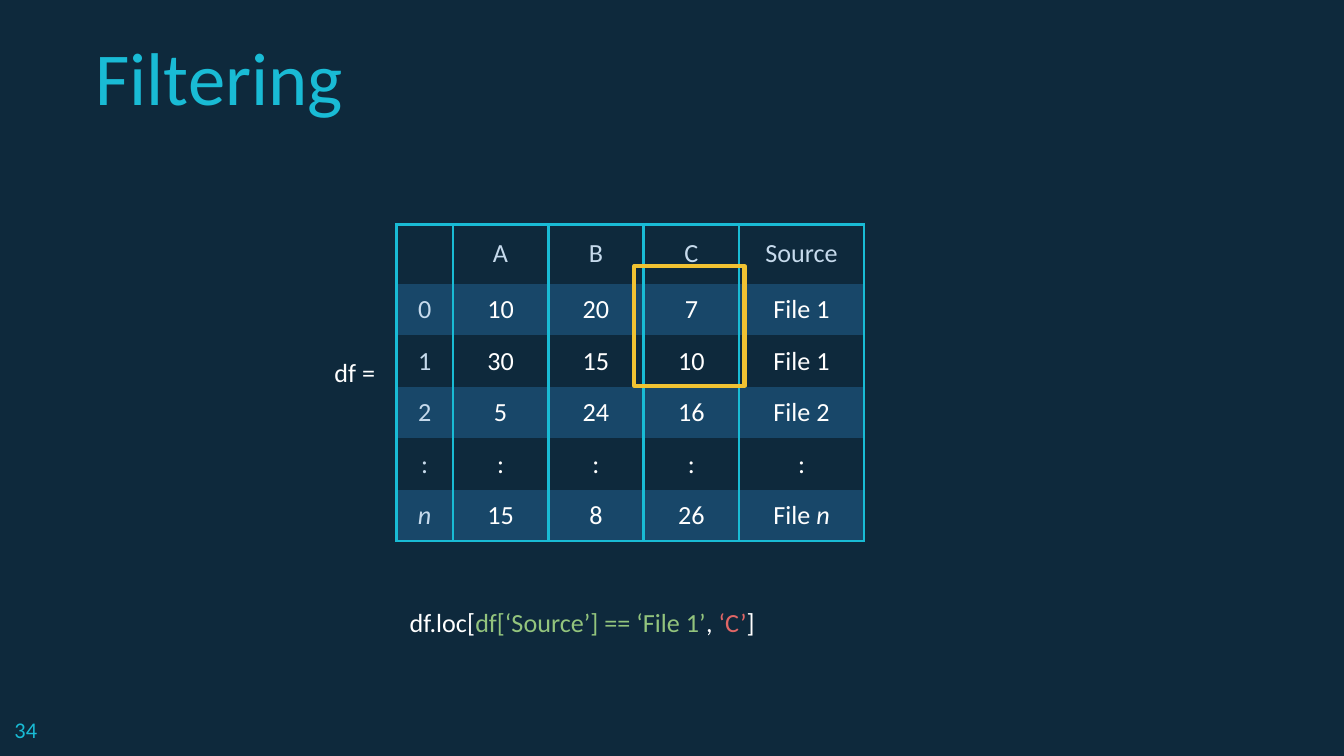
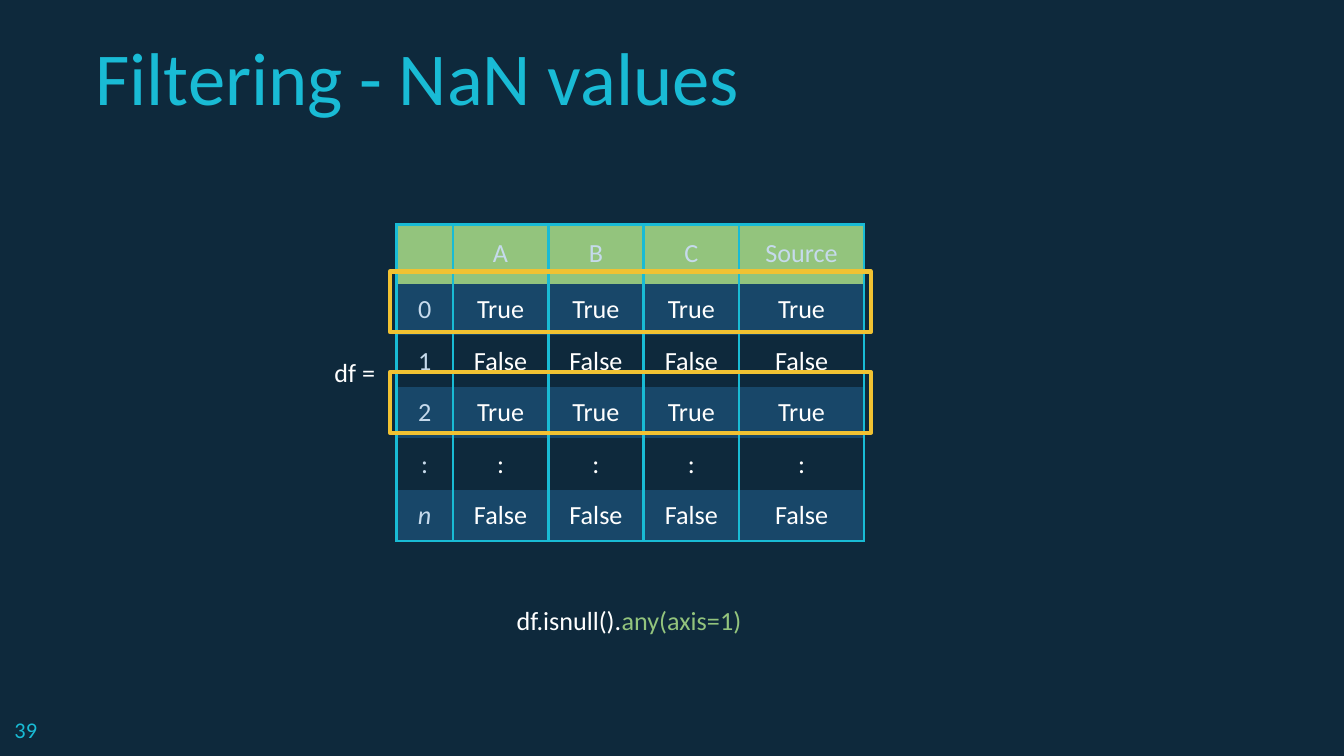
"""Two slides on filtering a data frame, each with a table and its code."""
from dataclasses import dataclass

from lxml.etree import SubElement
from pptx import Presentation
from pptx.dml.color import RGBColor
from pptx.enum.shapes import MSO_SHAPE as SHAPE
from pptx.enum.text import MSO_ANCHOR as ANCHOR, MSO_AUTO_SIZE as AUTO_SIZE, PP_ALIGN as ALIGN
from pptx.oxml.ns import qn
from pptx.util import Inches, Pt


@dataclass(frozen=True)
class Theme:
    font: str = "Calibri"
    night: str = "0E293C"
    band: str = "184769"
    cyan: str = "19BBD5"
    label: str = "C6DAEC"
    white: str = "FFFFFF"
    green: str = "93C47D"
    red: str = "E06666"
    yellow: str = "F1C232"
    title_size: int = 40
    body_size: int = 14
    number_size: int = 12
    border: float = 1.5
    frame: float = 2.25


THEME = Theme()
SLIDE_SIZE = (10, 10 * 9 / 16)
TITLE_BOX = (0.61, 0.29, 8.71, 0.71)
NUMBER_BOX = (0.01, 5.23, 0.6, 0.39)
DF_BOX = (2.39, 2.55, 1.64, 0.89)
TABLE_AT = (2.95, 1.67)
COLUMN_WIDTHS = (0.42, 0.71, 0.71, 0.71, 0.93)
ROW_HEIGHT = 0.3
CELL_PADDING = 0.15
EMPTY_CELL_PADDING = 0.14
NO_GRID_STYLE = "{2D5ABB26-0587-4C30-8999-92F81FD0307C}"

HEADER = ("", "A", "B", "C", "Source")
INDEX = ("0", "1", "2", ":", "n")
BAND_FILLS = (THEME.band, None, THEME.band, THEME.night, THEME.band)
TRUE_ROW, FALSE_ROW, DOTS_ROW = (("True",) * 4, ("False",) * 4, (":",) * 4)

SLIDES = (
    {
        "number": "34",
        "title": "Filtering",
        "header_fill": None,
        "rows": (
            ("10", "20", "7", "File 1"),
            ("30", "15", "10", "File 1"),
            ("5", "24", "16", "File 2"),
            DOTS_ROW,
            ("15", "8", "26", "File n"),
        ),
        "frames": ((4.72, 1.98, 0.82, 0.89),),
        "code": (
            ("df.loc[", THEME.white),
            ("df[‘Source’] == ‘File 1’", THEME.green),
            (", ", THEME.white),
            ("‘C’", THEME.red),
            ("]", THEME.white),
        ),
        "code_box": (2.95, 4.41, 5.46, 0.53),
        "code_align": ALIGN.LEFT,
    },
    {
        "number": "39",
        "title": "Filtering - NaN values",
        "header_fill": THEME.green,
        "rows": (TRUE_ROW, FALSE_ROW, TRUE_ROW, DOTS_ROW, FALSE_ROW),
        "frames": tuple((2.9, top, 3.58, 0.45) for top in (2.77, 2.02)),
        "code": (("df.isnull().", THEME.white), ("any(axis=1)", THEME.green)),
        "code_box": (1.95, 4.4, 5.46, 0.53),
        "code_align": ALIGN.CENTER,
    },
)


def inches(values):
    return [Inches(value) for value in values]


def set_all(target, formats):
    for name, value in formats.items():
        setattr(target, name, value)


def set_margins(target, across, down):
    set_all(target, {"margin_left": Inches(across), "margin_right": Inches(across),
                     "margin_top": Inches(down), "margin_bottom": Inches(down)})


def write(paragraph, runs, size=THEME.body_size, align=ALIGN.LEFT):
    paragraph.alignment = align
    for text, color, *italic in runs:
        run = paragraph.add_run()
        run.text = text
        set_all(run.font, {"name": THEME.font, "size": Pt(size), "italic": bool(italic)})
        run.font.color.rgb = RGBColor.from_string(color)


def add_text(slide, box, runs, **style):
    text_frame = slide.shapes.add_textbox(*inches(box)).text_frame
    set_margins(text_frame, 0.1, 0.1)
    text_frame.word_wrap = True
    write(text_frame.paragraphs[0], runs, **style)


def set_title(slide, text):
    title = slide.shapes.title
    set_all(title, dict(zip(("left", "top", "width", "height"), inches(TITLE_BOX))))
    set_margins(title.text_frame, 0.1, 0.1)
    set_all(title.text_frame, {"vertical_anchor": ANCHOR.BOTTOM, "auto_size": AUTO_SIZE.NONE,
                               "word_wrap": True})
    write(title.text_frame.paragraphs[0], [(text, THEME.cyan)], size=THEME.title_size)


def draw_borders(cell, sides):
    properties = cell._tc.get_or_add_tcPr()
    for side in sides:
        line = SubElement(properties, qn(f"a:ln{side}"), w=str(Pt(THEME.border)))
        SubElement(SubElement(line, qn("a:solidFill")), qn("a:srgbClr"), val=THEME.cyan)


def fill_cell(cell, text, color, fill, sides):
    set_margins(cell, 0.1, (CELL_PADDING if text else EMPTY_CELL_PADDING) / 2)
    cell.vertical_anchor = ANCHOR.MIDDLE
    draw_borders(cell, sides)
    if fill:
        cell.fill.solid()
        cell.fill.fore_color.rgb = RGBColor.from_string(fill)
    else:
        cell.fill.background()
    stem = text.removesuffix("n")
    runs = [(stem, color)] if stem else []
    if stem != text:
        runs.append(("n", color, "italic"))
    write(cell.text_frame.paragraphs[0], runs, align=ALIGN.CENTER)


def add_data_frame(slide, rows, header_fill):
    grid = [HEADER] + [(label, *row) for label, row in zip(INDEX, rows)]
    fills = (header_fill, *BAND_FILLS)
    size = (sum(COLUMN_WIDTHS), ROW_HEIGHT * len(grid))
    table = slide.shapes.add_table(len(grid), len(HEADER), *inches(TABLE_AT + size)).table
    set_all(table, {"first_row": False, "horz_banding": False})
    table._tbl.tblPr.find(qn("a:tableStyleId")).text = NO_GRID_STYLE
    for column, width in zip(table.columns, COLUMN_WIDTHS):
        column.width = Inches(width)
    for r, (row, fill) in enumerate(zip(grid, fills)):
        sides = "LR" + ("T" if r == 0 else "") + ("B" if r == len(grid) - 1 else "")
        for c, text in enumerate(row):
            color = THEME.white if r and c else THEME.label
            fill_cell(table.cell(r, c), text, color, fill, sides)


def add_frame(slide, box):
    frame = slide.shapes.add_shape(SHAPE.RECTANGLE, *inches(box))
    frame.shadow.inherit = False
    frame.fill.background()
    frame.line.color.rgb = RGBColor.from_string(THEME.yellow)
    frame.line.width = Pt(THEME.frame)


def build_slide(deck, content):
    slide = deck.slides.add_slide(deck.slide_layouts[5])
    set_title(slide, content["title"])
    add_text(slide, NUMBER_BOX, [(content["number"], THEME.cyan)], size=THEME.number_size)
    add_data_frame(slide, content["rows"], content["header_fill"])
    add_text(slide, DF_BOX, [("df =", THEME.white)])
    for box in content["frames"]:
        add_frame(slide, box)
    add_text(slide, content["code_box"], content["code"], align=content["code_align"])


def main():
    deck = Presentation()
    deck.slide_width, deck.slide_height = inches(SLIDE_SIZE)
    backdrop = deck.slide_master.background.fill
    backdrop.solid()
    backdrop.fore_color.rgb = RGBColor.from_string(THEME.night)
    for content in SLIDES:
        build_slide(deck, content)
    deck.save("out.pptx")


if __name__ == "__main__":
    main()
